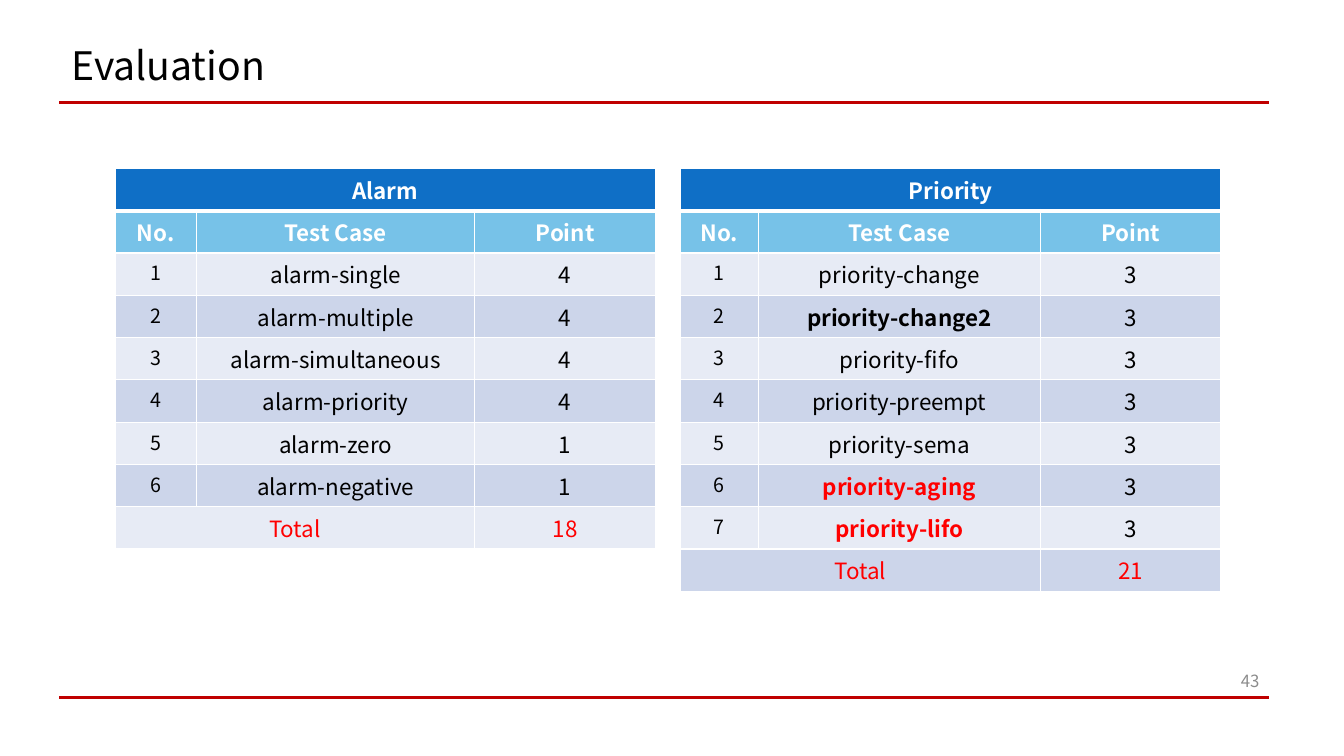
from lxml.etree import SubElement
from pptx import Presentation
from pptx.dml.color import RGBColor
from pptx.enum.shapes import MSO_CONNECTOR
from pptx.enum.text import MSO_ANCHOR, PP_ALIGN
from pptx.oxml import parse_xml
from pptx.oxml.ns import nsdecls, qn
from pptx.util import Inches, Pt

FONT = "Noto Sans CJK KR"
COLORS = {
    "black": "000000", "white": "FFFFFF", "gray": "8C8C8C", "red": "FF0000",
    "rule": "C00000", "title": "0F6FC6", "head": "77C2E8",
    "odd": "E7EBF5", "even": "CCD5EA",
}
ROW = 0.42
ALARM = [
    ("alarm-single", 4), ("alarm-multiple", 4), ("alarm-simultaneous", 4),
    ("alarm-priority", 4), ("alarm-zero", 1), ("alarm-negative", 1),
]
PRIORITY = [(f"priority-{name}", 3) for name in (
    "change", "change2", "fifo", "preempt", "sema", "aging", "lifo")]
STYLES = {
    "priority-change2": ("black", True),
    "priority-aging": ("red", True),
    "priority-lifo": ("red", True),
}


def color(name):
    return RGBColor.from_string(COLORS[name])


def write(frame, text, size, tint="black", bold=False, align=PP_ALIGN.CENTER):
    para = frame.paragraphs[0]
    para.alignment = align
    run = para.add_run()
    run.text = text
    font = run.font
    font.name, font.size, font.bold = FONT, Pt(size), bold
    font.color.rgb = color(tint)
    # East Asian face, so that every script uses the same font
    SubElement(run._r.get_or_add_rPr(), qn("a:ea"), typeface=FONT)
    return para


def add_text(slide, box, text, size, tint, align):
    frame = slide.shapes.add_textbox(*map(Inches, box)).text_frame
    frame.word_wrap = True
    frame.vertical_anchor = MSO_ANCHOR.MIDDLE
    return write(frame, text, size, tint, align=align)


def add_rule(slide, left, top, width):
    line = slide.shapes.add_connector(
        MSO_CONNECTOR.STRAIGHT, Inches(left), Inches(top),
        Inches(left + width), Inches(top))
    line.line.color.rgb = color("rule")
    line.line.width = Pt(2.25)
    SubElement(line._element.spPr, qn("a:effectLst"))


def add_frame(slide, left, width, title, number):
    """Place the title, the page number and the two rules."""
    for top in (1.02, 6.92):
        add_rule(slide, left, top, width)
    head = add_text(slide, (left + 0.02, 0.41, width - 0.5, 0.53), title,
                    28, "black", PP_ALIGN.LEFT)
    head.line_spacing = 0.9
    add_text(slide, (left + width - 0.49, 6.55, 0.49, 0.4), number,
             12, "gray", PP_ALIGN.RIGHT)


def add_borders(cell, row):
    widths = {"L": 1, "R": 1, "T": 3 if row == 1 else 1, "B": 3 if row == 0 else 1}
    props = cell._tc.get_or_add_tcPr()
    for at, (side, width) in enumerate(widths.items()):
        props.insert(at, parse_xml(
            f'<a:ln{side} {nsdecls("a")} w="{Pt(width)}"><a:solidFill>'
            f'<a:srgbClr val="{COLORS["white"]}"/></a:solidFill></a:ln{side}>'))


def add_scores(slide, left, top, widths, title, cases):
    """Place a table of test cases, with their points and the total."""
    count = len(cases) + 3
    last = count - 1
    table = slide.shapes.add_table(
        count, 3, Inches(left), Inches(top),
        Inches(sum(widths)), Inches(ROW * count)).table
    for column, width in zip(table.columns, widths):
        column.width = Inches(width)
    for row in range(count):
        table.rows[row].height = Inches(ROW)
        fill = {0: "title", 1: "head"}.get(row, "even" if row % 2 else "odd")
        for cell in table.rows[row].cells:
            cell.fill.solid()
            cell.fill.fore_color.rgb = color(fill)
            add_borders(cell, row)
    table.cell(0, 0).merge(table.cell(0, 2))
    table.cell(last, 0).merge(table.cell(last, 1))

    def put(row, col, text, size=16, tint="black", bold=False):
        write(table.cell(row, col).text_frame, text, size, tint, bold)

    put(0, 0, title, tint="white", bold=True)
    for col, label in enumerate(("No.", "Test Case", "Point")):
        put(1, col, label, tint="white", bold=True)
    for number, (name, point) in enumerate(cases, 1):
        tint, bold = STYLES.get(name, ("black", False))
        put(number + 1, 0, str(number), size=14)
        put(number + 1, 1, name, tint=tint, bold=bold)
        put(number + 1, 2, str(point))
    put(last, 0, "Total", tint="red")
    put(last, 2, str(sum(point for _, point in cases)), tint="red")


def main():
    deck = Presentation()
    deck.slide_width, deck.slide_height = Inches(13.33), Inches(7.5)
    slide = deck.slides.add_slide(deck.slide_layouts[6])
    add_frame(slide, 0.59, 12, "Evaluation", "43")
    add_scores(slide, 1.14, 1.67, (0.81, 2.76, 1.79), "Alarm", ALARM)
    add_scores(slide, 6.75, 1.67, (0.77, 2.8, 1.79), "Priority", PRIORITY)
    deck.save("out.pptx")


if __name__ == "__main__":
    main()
